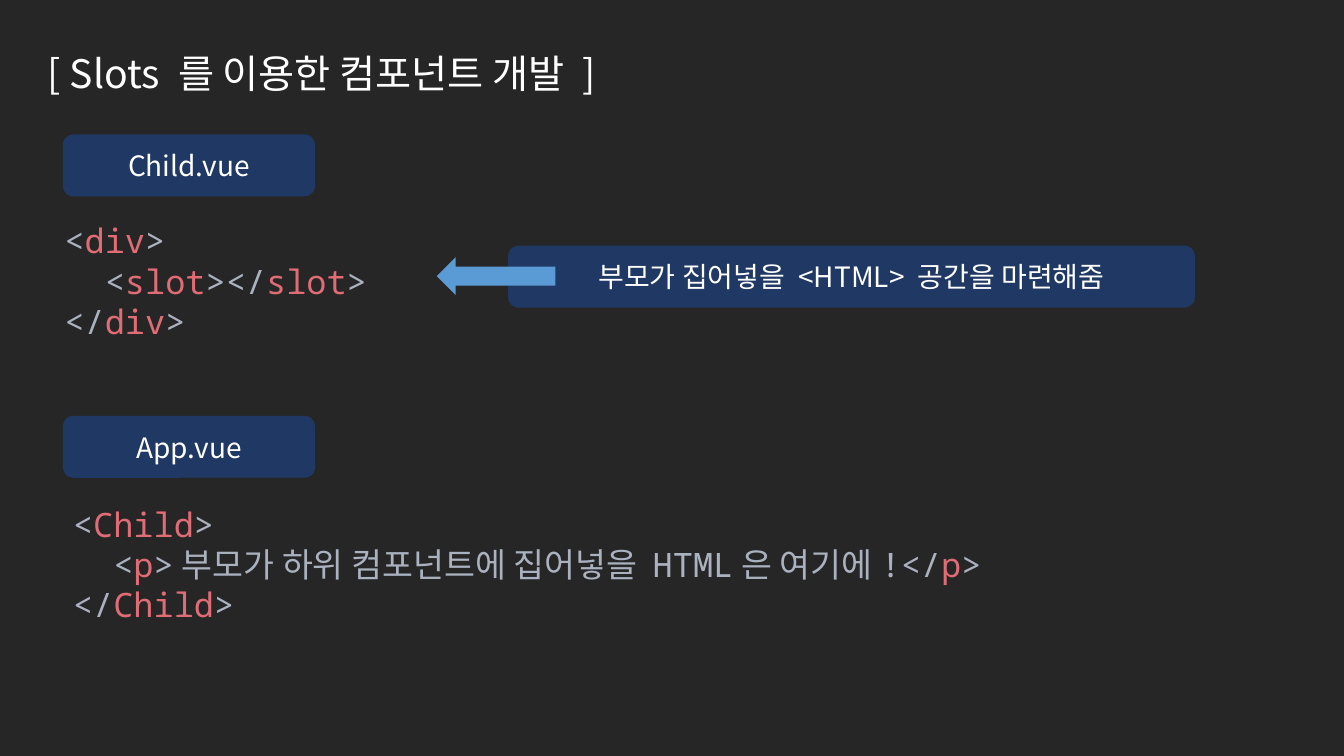
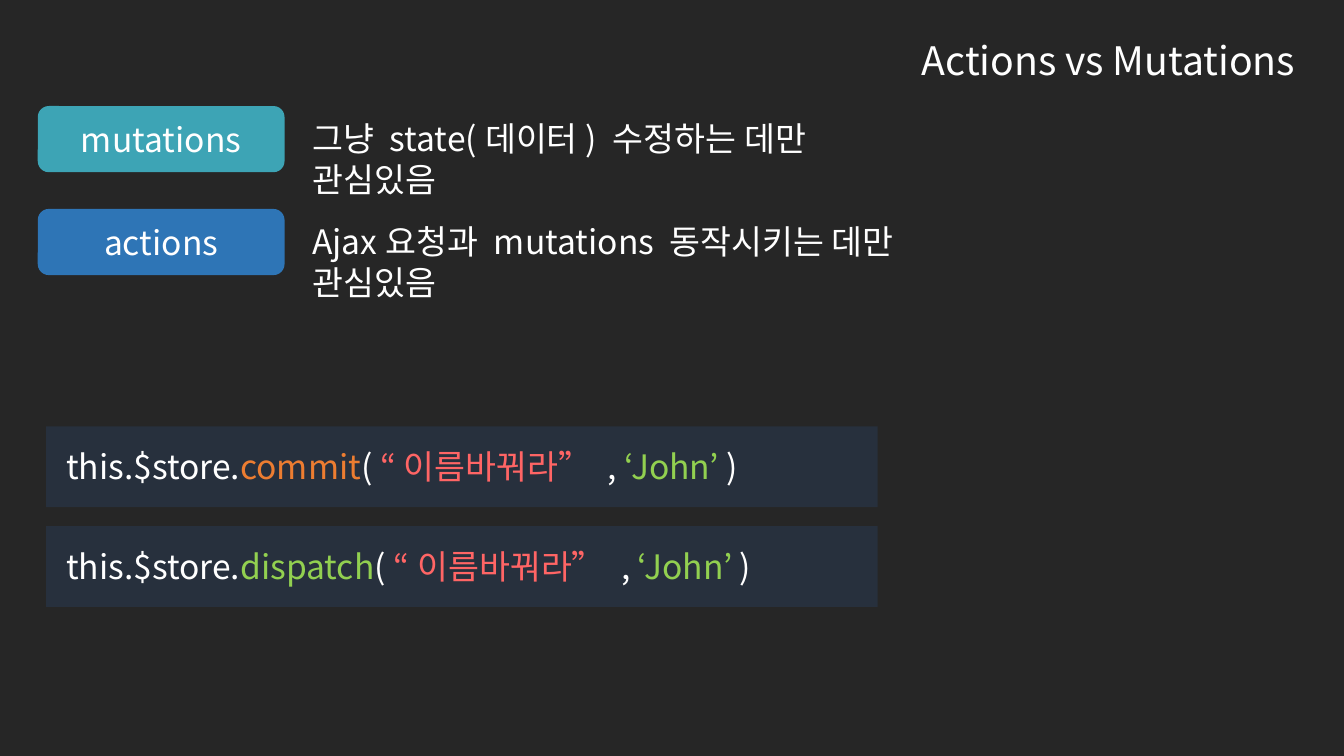
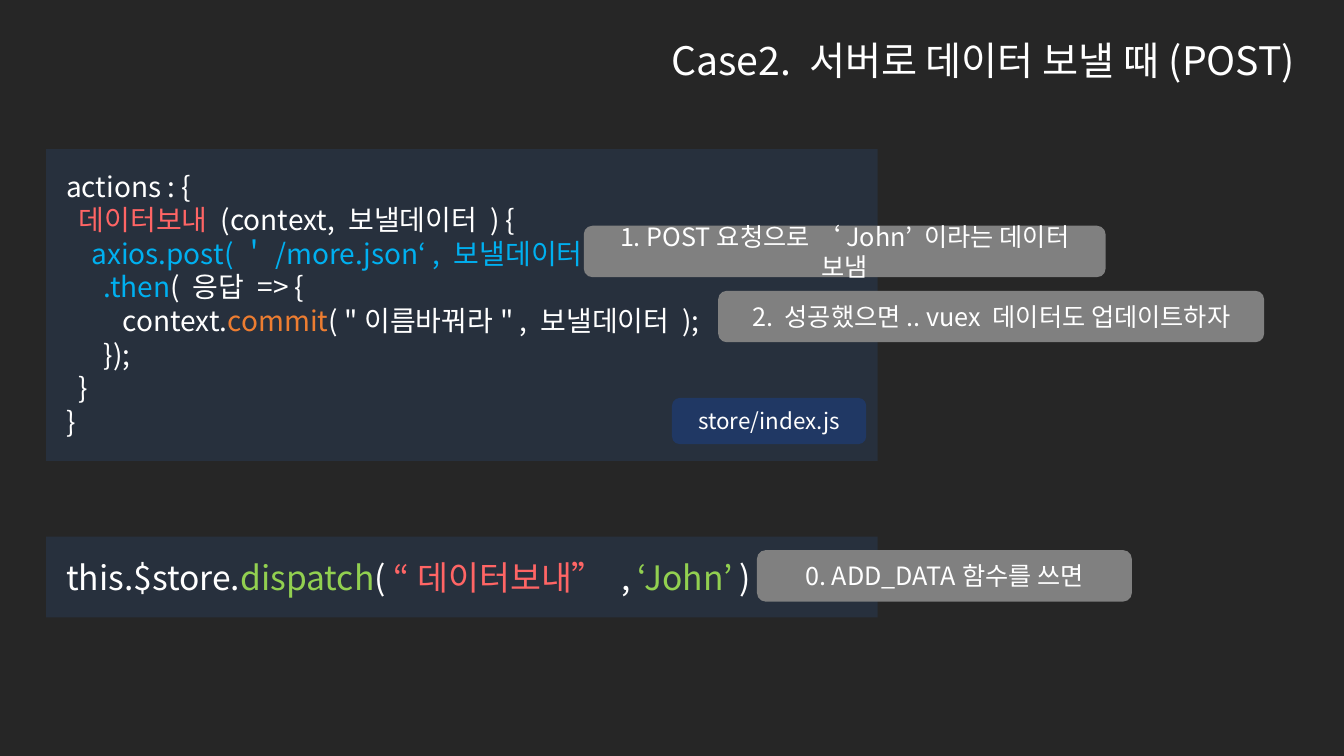
import itertools

import pptx
import pptx.dml.color
import pptx.enum.shapes
import pptx.enum.text
import pptx.oxml.ns
import pptx.util

PX = 9525
SANS = "Noto Sans CJK KR"
MONO = "Noto Sans Mono"
COLORS = {
    "background": "262626",
    "panel": "27303D",
    "white": "FFFFFF",
    "navy": "203864",
    "arrow": "5B9BD5",
    "teal": "3DA4B5",
    "blue": "2E75B6",
    "gray": "808080",
    "punctuation": "ABB2BF",
    "tag": "E06C75",
    "red": "FF6565",
    "green": "92D050",
    "orange": "ED7D31",
    "cyan": "00B0F0",
}
ALIGN = pptx.enum.text.PP_ALIGN
ANCHOR = pptx.enum.text.MSO_ANCHOR
SHAPE = pptx.enum.shapes.MSO_SHAPE


def rgb(name):
    return pptx.dml.color.RGBColor.from_string(COLORS[name])


def write_text(frame, lines, size=24, font=SANS, color="white", align=ALIGN.LEFT,
               anchor=ANCHOR.TOP, spacing=None, inset=None):
    frame.word_wrap = True
    frame.auto_size = pptx.enum.text.MSO_AUTO_SIZE.NONE
    frame.vertical_anchor = anchor
    if inset is not None:
        frame.margin_left = frame.margin_right = inset * PX
        frame.margin_top = frame.margin_bottom = inset * PX
    for index, line in enumerate(lines):
        paragraph = frame.add_paragraph() if index else frame.paragraphs[0]
        paragraph.alignment = align
        if spacing:
            paragraph.line_spacing = spacing
        for text, run_color in [(line, color)] if isinstance(line, str) else line:
            run = paragraph.add_run()
            run.text = text
            run.font.size = pptx.util.Pt(size)
            run.font.name = font
            run.font.color.rgb = rgb(run_color)
            latin = run.font._element.find(pptx.oxml.ns.qn("a:latin"))
            east_asian = latin.makeelement(pptx.oxml.ns.qn("a:ea"), {"typeface": SANS})
            latin.addnext(east_asian)


def html_line(*pieces):
    return list(zip(pieces, itertools.cycle(("punctuation", "tag"))))


def store_call(method, method_color, action):
    return [
        ("this.$store.", "white"), (method, method_color), ("( ", "white"),
        (f"“{action}” ", "red"), (", ", "white"), ("‘John’", "green"), (" )", "white"),
    ]


class Deck:
    def __init__(self):
        self.presentation = pptx.Presentation()
        self.presentation.slide_width = 1280 * PX
        self.presentation.slide_height = 720 * PX
        fill = self.presentation.slide_master.background.fill
        fill.solid()
        fill.fore_color.rgb = rgb("background")
        self.slide = None

    def add_slide(self, title, left=394, top=25, width=849, align=ALIGN.RIGHT):
        self.slide = self.presentation.slides.add_slide(self.presentation.slide_layouts[5])
        shape = self.slide.shapes.title
        shape.left, shape.top, shape.width, shape.height = (
            length * PX for length in (left, top, width, 57))
        write_text(shape.text_frame, [title], size=28, align=align, spacing=1.1)

    def add_text(self, left, top, width, height, lines, **style):
        shape = self.slide.shapes.add_textbox(left * PX, top * PX, width * PX, height * PX)
        write_text(shape.text_frame, lines, **style)

    def add_shape(self, kind, left, top, width, height, fill):
        shape = self.slide.shapes.add_shape(
            kind, left * PX, top * PX, width * PX, height * PX)
        shape.shadow.inherit = False
        shape.fill.solid()
        shape.fill.fore_color.rgb = rgb(fill)
        shape.line.fill.background()
        return shape

    def add_label(self, left, top, width, height, text, fill="navy", size=20):
        shape = self.add_shape(SHAPE.ROUNDED_RECTANGLE, left, top, width, height, fill)
        write_text(shape.text_frame, [text], size=size, align=ALIGN.CENTER,
                   anchor=ANCHOR.MIDDLE)

    def add_panel(self, top, lines, height=77, size=24):
        shape = self.add_shape(SHAPE.RECTANGLE, 44, top, 792, height, "panel")
        write_text(shape.text_frame, lines, size=size, inset=19)

    def add_left_arrow(self, left, top, width, height):
        shape = self.add_shape(SHAPE.RIGHT_ARROW, left, top, width, height, "arrow")
        shape.rotation = 180


def build_slots(deck):
    deck.add_slide("[ Slots 를 이용한 컴포넌트 개발 ]", 36, 38, 802, ALIGN.LEFT)
    deck.add_text(60, 475, 941, 126, [
        html_line("<", "Child", ">"),
        html_line("  <", "p", ">부모가 하위 컴포넌트에 집어넣을 HTML은 여기에!</", "p", ">"),
        html_line("</", "Child", ">"),
    ], font=MONO)
    deck.add_text(52, 205, 812, 126, [
        html_line("<", "div", ">"),
        html_line("  <", "slot", "></", "slot", ">"),
        html_line("</", "div", ">"),
    ], font=MONO)
    for top, file_name in ((128, "Child.vue"), (396, "App.vue")):
        deck.add_label(60, top, 240, 59, file_name)
    deck.add_label(484, 234, 654, 59, "부모가 집어넣을 <HTML> 공간을 마련해줌")
    deck.add_left_arrow(416, 245, 113, 36)


def build_comparison(deck):
    deck.add_slide("Actions vs Mutations")
    deck.add_panel(406, [store_call("commit", "orange", "이름바꿔라")])
    deck.add_panel(501, [store_call("dispatch", "green", "이름바꿔라")])
    rows = (
        (101, "mutations", "teal", 592, "그냥 state(데이터) 수정하는 데만 관심있음"),
        (199, "actions", "blue", 684, "Ajax요청과 mutations 동작시키는 데만 관심있음"),
    )
    for top, name, fill, width, description in rows:
        deck.add_label(36, top, 235, 63, name, fill, 24)
        deck.add_text(288, top + 7, width, 48, [description])


def build_post(deck):
    deck.add_slide("Case2. 서버로 데이터 보낼 때(POST)")
    deck.add_panel(142, [
        "actions : {",
        [("  ", "white"), ("데이터보내 ", "red"), ("(context, 보낼데이터 ) {", "white")],
        [("    ", "white"), ("axios.post(＇/more.json‘ , 보낼데이터)", "cyan")],
        [("      ", "white"), (".then", "cyan"), ("( 응답 => {", "white")],
        [("         context.", "white"), ("commit", "orange"),
         ("( \"이름바꿔라\" , 보낼데이터 );", "white")],
        "      });",
        "  }",
        "}",
    ], height=297, size=20)
    deck.add_label(640, 379, 185, 44, "store/index.js", size=16)
    deck.add_panel(511, [store_call("dispatch", "green", "데이터보내")])
    steps = (
        (556, 215, 497, "1. POST요청으로 ‘John’ 이라는 데이터 보냄"),
        (684, 277, 520, "2. 성공했으면.. vuex 데이터도 업데이트하자"),
        (721, 524, 357, "0. ADD_DATA함수를 쓰면"),
    )
    for left, top, width, text in steps:
        deck.add_label(left, top, width, 49, text, "gray", 18)


def main():
    deck = Deck()
    build_slots(deck)
    build_comparison(deck)
    build_post(deck)
    deck.presentation.save("out.pptx")


if __name__ == "__main__":
    main()
